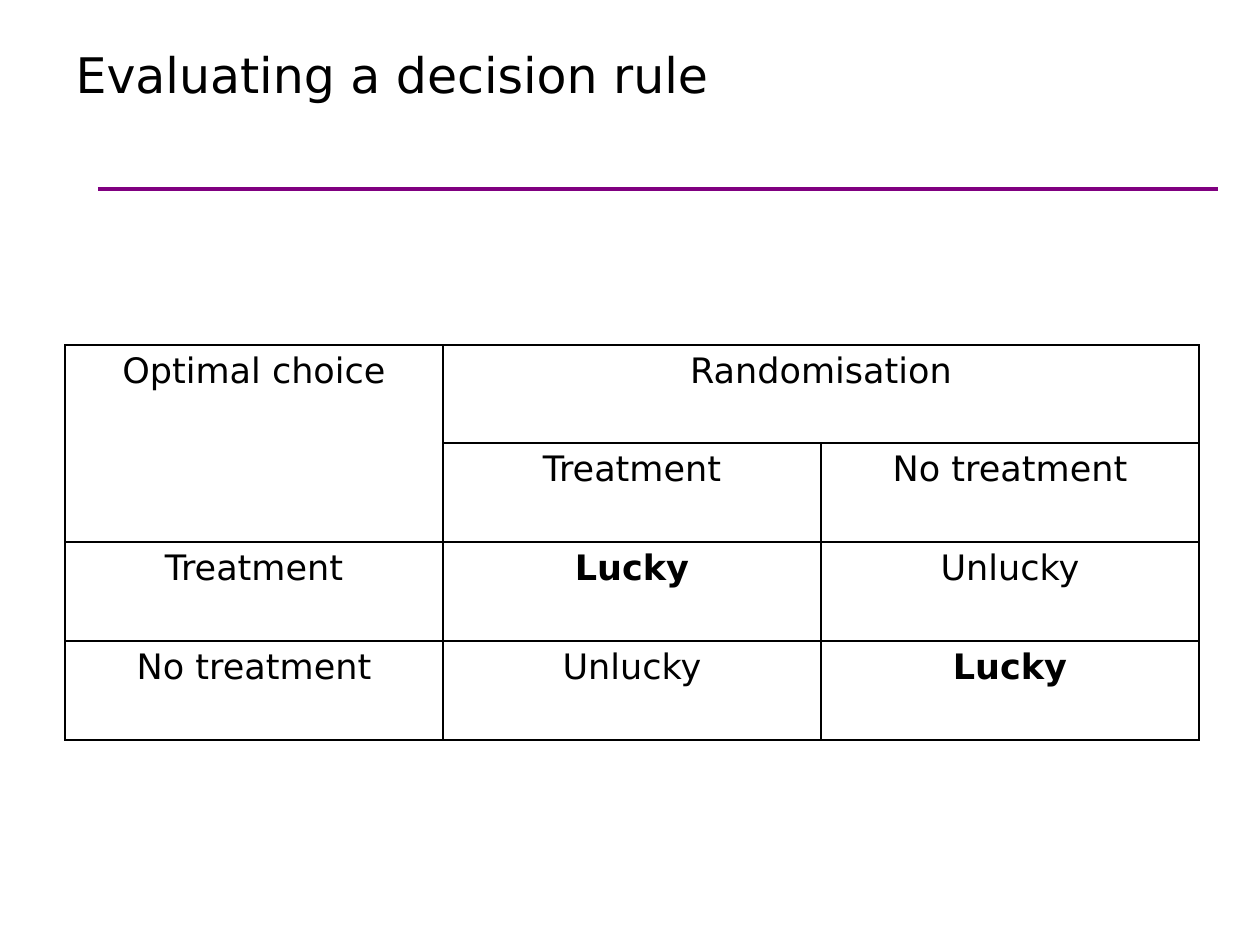
from lxml import etree
from pptx import Presentation
from pptx.dml.color import RGBColor
from pptx.enum.shapes import MSO_CONNECTOR
from pptx.enum.text import MSO_ANCHOR, PP_ALIGN
from pptx.oxml.ns import qn
from pptx.util import Pt

TITLE = "Evaluating a decision rule"
OUTCOMES = [
    ["Optimal choice", "Randomisation", ""],
    ["", "Treatment", "No treatment"],
    ["Treatment", "Lucky", "Unlucky"],
    ["No treatment", "Unlucky", "Lucky"],
]
MERGES = [((0, 0), (1, 0)), ((0, 1), (0, 2))]
EMPHASISED = "Lucky"

FONT = "DejaVu Sans"
BLACK = RGBColor(0x00, 0x00, 0x00)
PURPLE = RGBColor(0x80, 0x00, 0x80)

SLIDE_SIZE = (1260, 945)
TITLE_BOX = dict(left=63, top=38, width=1134, height=157)
RULE_LEFT, RULE_RIGHT, RULE_Y = 98, 1218, 189
TABLE_LEFT, TABLE_TOP = 65, 345
COLUMN_WIDTH = 378
ROW_HEIGHTS = [98, 99, 99, 99]


def px(length):
    return round(length * 914400 / 126)


def format_font(font, size, bold=False):
    for name, value in dict(name=FONT, size=Pt(size), bold=bold).items():
        setattr(font, name, value)
    font.color.rgb = BLACK


def add_borders(cell):
    properties = cell._tc.get_or_add_tcPr()
    for position, side in enumerate(("a:lnL", "a:lnR", "a:lnT", "a:lnB")):
        border = etree.Element(qn(side), w=str(Pt(1)))
        fill = etree.SubElement(border, qn("a:solidFill"))
        etree.SubElement(fill, qn("a:srgbClr"), val=str(BLACK))
        properties.insert(position, border)


def add_title(slide):
    title = slide.shapes.title
    for name, length in TITLE_BOX.items():
        setattr(title, name, px(length))
    frame = title.text_frame
    frame.text = TITLE
    frame.word_wrap = True
    frame.vertical_anchor = MSO_ANCHOR.TOP
    frame.paragraphs[0].alignment = PP_ALIGN.LEFT
    format_font(frame.paragraphs[0].runs[0].font, 28)


def add_rule(slide):
    rule = slide.shapes.add_connector(
        MSO_CONNECTOR.STRAIGHT, px(RULE_LEFT), px(RULE_Y), px(RULE_RIGHT), px(RULE_Y))
    rule.line.color.rgb = PURPLE
    rule.line.width = Pt(1.75)
    etree.SubElement(rule._element.spPr, qn("a:effectLst"))


def add_outcomes(slide):
    column_count = len(OUTCOMES[0])
    table = slide.shapes.add_table(
        len(OUTCOMES), column_count, px(TABLE_LEFT), px(TABLE_TOP),
        px(COLUMN_WIDTH * column_count), px(sum(ROW_HEIGHTS))).table
    table.first_row = table.horz_banding = False
    for column in table.columns:
        column.width = px(COLUMN_WIDTH)
    for row, height in zip(table.rows, ROW_HEIGHTS):
        row.height = px(height)
    for first, last in MERGES:
        table.cell(*first).merge(table.cell(*last))
    for row, labels in enumerate(OUTCOMES):
        for column, label in enumerate(labels):
            cell = table.cell(row, column)
            cell.fill.background()
            add_borders(cell)
            if label:
                cell.text = label
                paragraph = cell.text_frame.paragraphs[0]
                paragraph.alignment = PP_ALIGN.CENTER
                format_font(paragraph.runs[0].font, 20, label == EMPHASISED)


def main():
    presentation = Presentation()
    presentation.slide_width, presentation.slide_height = map(px, SLIDE_SIZE)
    slide = presentation.slides.add_slide(presentation.slide_layouts[5])
    add_rule(slide)
    add_title(slide)
    add_outcomes(slide)
    presentation.save("out.pptx")


if __name__ == "__main__":
    main()
